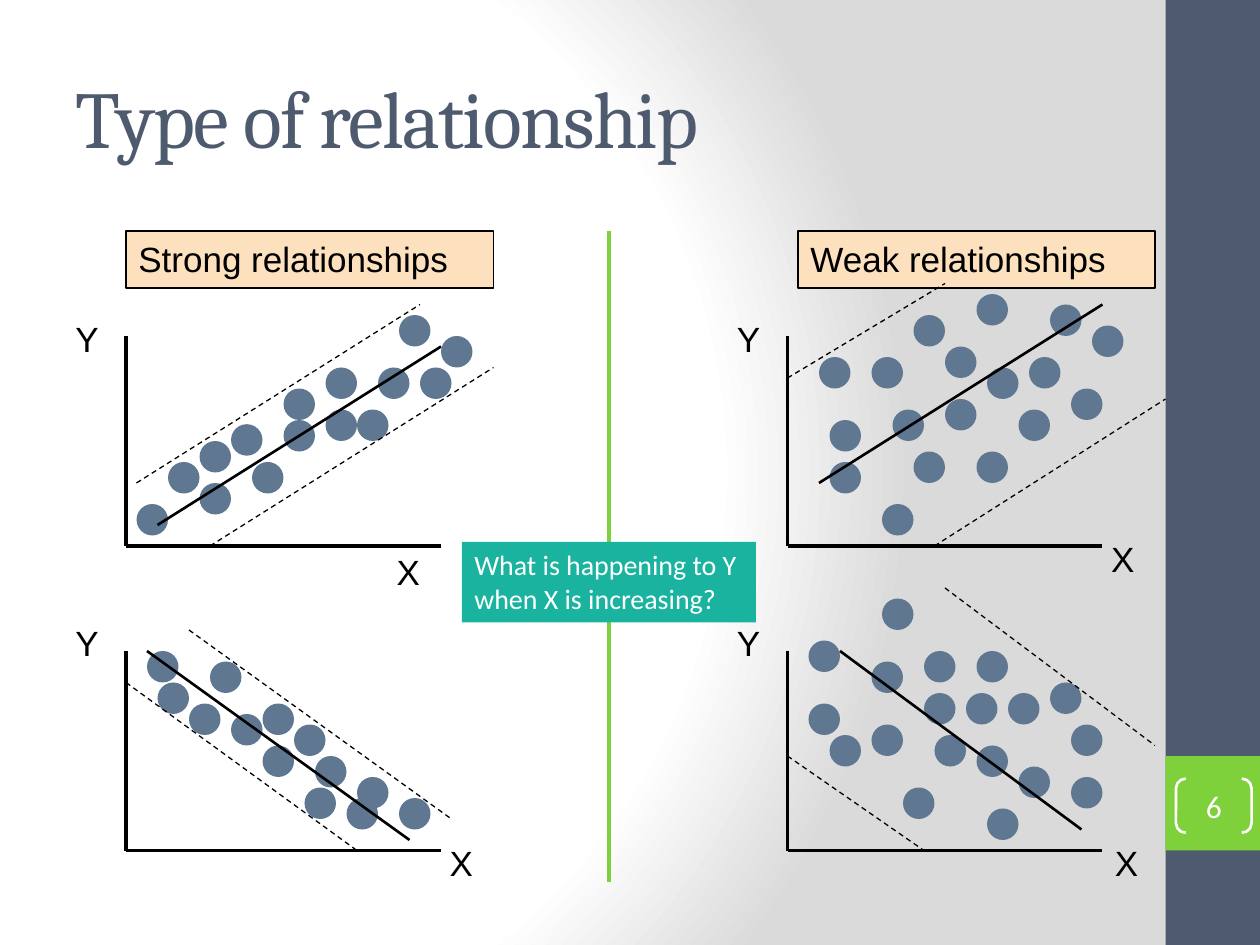
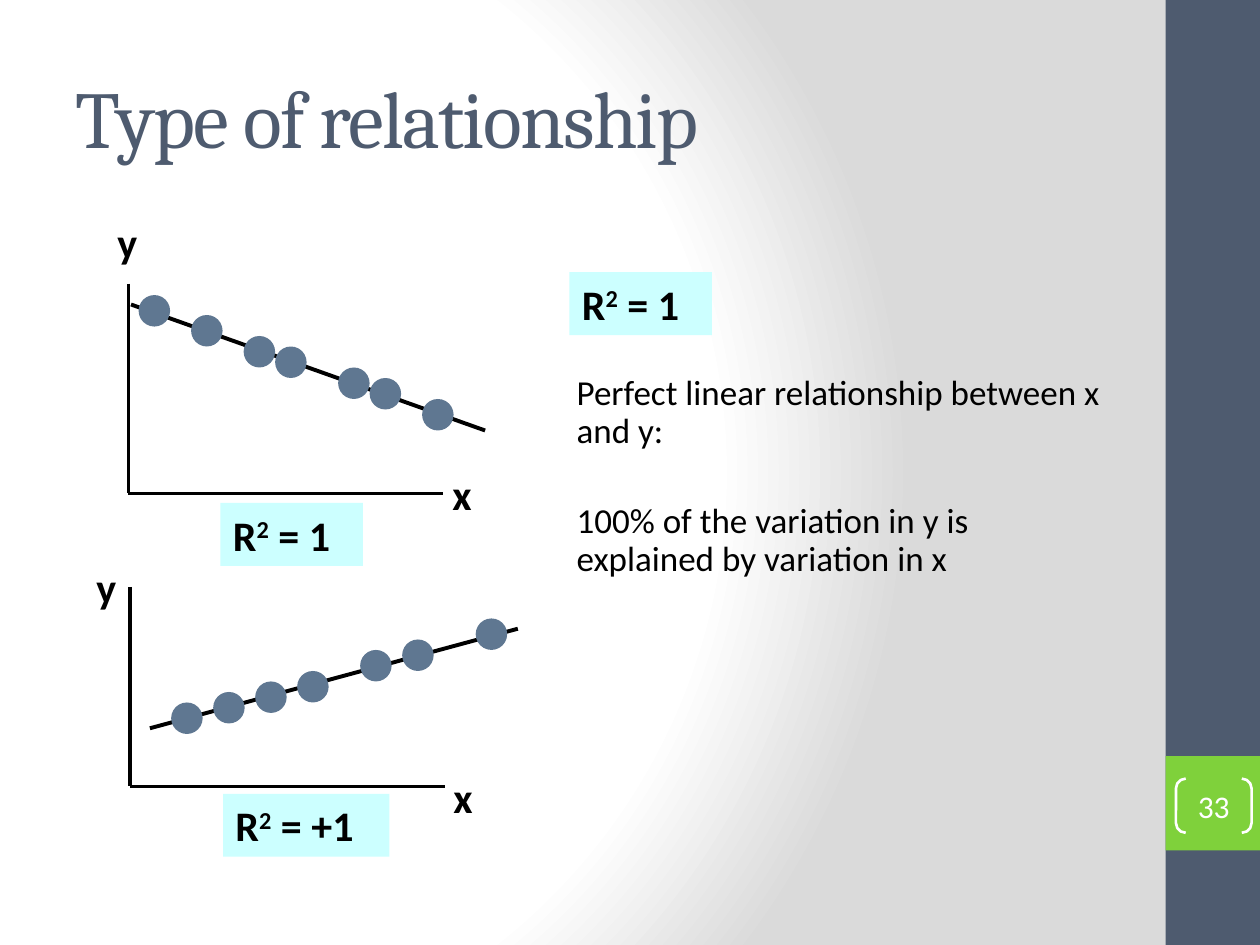
from dataclasses import dataclass
from typing import NamedTuple

from lxml import etree
from pptx import Presentation
from pptx import util as u
from pptx.dml.color import RGBColor
from pptx.enum import dml, shapes, text
from pptx.oxml import parse_xml
from pptx.oxml.ns import nsdecls, qn

INK = {
    "black": "000000",
    "white": "FFFFFF",
    "gray": "DADADA",
    "slate": "4E5B6F",
    "green": "7FD13B",
    "dot": "5F7791",
    "peach": "FDE0BD",
    "teal": "1AB39F",
    "cyan": "CCFFFF",
}
DOT = 3
AXIS = 30


class Font(NamedTuple):
    name: str
    size: float
    ink: str = "black"
    bold: bool = False


class Box(NamedTuple):
    left: float
    top: float
    width: float
    height: float


class Line(NamedTuple):
    x1: float
    y1: float
    x2: float
    y2: float


Spot = tuple[float, float]


@dataclass
class Plot:
    left: float
    top: float
    base: float
    ylab: Spot
    xlab: Spot
    trend: Line
    dots: list[Spot]
    bands: tuple[Line, ...] = ()


HEAD = Font("Cambria", 46, "slate")
PAGE = Font("Calibri", 18, "white")
PLAIN = Font("Arial", 20)
BOLD = Font("Calibri", 24, bold=True)
BODY = Font("Calibri", 20)
ASK = Font("Calibri", 16, "white")


# Drawing helpers: every position counts steps of a twelfth of an inch
def step(n: float) -> u.Length:
    return u.Cm(n * 2.54 / 12)


def rgb(ink: str) -> RGBColor:
    return RGBColor.from_string(INK[ink])


def style(par, font: Font) -> None:
    par.font.name = font.name
    par.font.size = u.Pt(font.size)
    par.font.bold = font.bold
    par.font.color.rgb = rgb(font.ink)


def add_text(slide, box: Box, words: str, font: Font, fill: str = "", edge: str = ""):
    shape = slide.shapes.add_textbox(*map(step, box))
    shape.text_frame.word_wrap = True
    par = shape.text_frame.paragraphs[0]
    style(par, font)
    if words:
        par.add_run().text = words
    if fill:
        shape.fill.solid()
        shape.fill.fore_color.rgb = rgb(fill)
    if edge:
        shape.line.color.rgb = rgb(edge)
        shape.line.width = u.Pt(1)
    return shape


def add_form(slide, kind, box: Box, fill: str = ""):
    shape = slide.shapes.add_shape(kind, *map(step, box))
    shape.shadow.inherit = False
    if fill:
        shape.fill.solid()
        shape.fill.fore_color.rgb = rgb(fill)
    else:
        shape.fill.background()
    shape.line.fill.background()
    return shape


def add_line(slide, line: Line, width: float, ink: str = "black", dash: bool = False) -> None:
    link = slide.shapes.add_connector(shapes.MSO_CONNECTOR.STRAIGHT, *map(step, line))
    link.line.color.rgb = rgb(ink)
    link.line.width = u.Pt(width)
    if dash:
        link.line.dash_style = dml.MSO_LINE.DASH
    etree.SubElement(link._element.spPr, qn("a:effectLst"))


# Shared frame: background, side band, title and page number
def paint(slide) -> None:
    fill = slide.background.fill
    fill.solid()
    old = slide._element.cSld.find(".//" + qn("a:solidFill"))
    stops = "".join(
        f'<a:gs pos="{pos}"><a:srgbClr val="{INK[ink]}"/></a:gs>'
        for pos, ink in ((0, "white"), (75000, "white"), (100000, "gray"))
    )
    grad = parse_xml(
        f'<a:gradFill {nsdecls("a")} rotWithShape="1"><a:gsLst>{stops}</a:gsLst>'
        '<a:path path="circle"><a:fillToRect l="20000" t="50000" r="100000" b="50000"/>'
        "</a:path></a:gradFill>"
    )
    old.getparent().replace(old, grad)


def new_slide(deck, title: str, page: str):
    slide = deck.slides.add_slide(deck.slide_layouts[6])
    paint(slide)
    rect = shapes.MSO_SHAPE.RECTANGLE
    add_form(slide, rect, Box(111, 0, 9, 90), "slate")
    add_form(slide, rect, Box(111, 72, 9, 9), "green")

    head = add_text(slide, Box(6, 3.6, 100, 15), title, HEAD).text_frame
    head.vertical_anchor = text.MSO_ANCHOR.MIDDLE
    head.paragraphs[0].runs[0]._r.get_or_add_rPr().set("spc", "-100")

    mark = add_form(slide, shapes.MSO_SHAPE.DOUBLE_BRACKET, Box(112, 74.16, 7.2, 5.16))
    mark.adjustments[0] = 0.18
    mark.line.color.rgb = rgb("white")
    mark.line.width = u.Pt(1.5)
    frame = mark.text_frame
    frame.margin_left = frame.margin_right = frame.margin_top = frame.margin_bottom = 0
    frame.vertical_anchor = text.MSO_ANCHOR.MIDDLE
    par = frame.paragraphs[0]
    par.add_run().text = page
    par.alignment = text.PP_ALIGN.CENTER
    style(par, PAGE)
    return slide


# Scatter sketch: axes, labels, dots, trend and dashed limits
def add_plot(slide, plot: Plot, names: str, font: Font, width: float, under: bool = False) -> None:
    add_line(slide, Line(plot.left, plot.top, plot.left, plot.base), 2)
    add_line(slide, Line(plot.left, plot.base, plot.left + AXIS, plot.base), 2)
    for name, spot in zip(names, (plot.xlab, plot.ylab)):
        add_text(slide, Box(*spot, 4.68, font.size / 4), name, font)
    if under:
        add_line(slide, plot.trend, width)
    for spot in plot.dots:
        add_form(slide, shapes.MSO_SHAPE.OVAL, Box(*spot, DOT, DOT), "dot")
    for band in plot.bands:
        add_line(slide, band, 0.75, dash=True)
    if not under:
        add_line(slide, plot.trend, width)


def add_score(slide, box: Box, value: str) -> None:
    par = add_text(slide, box, "", BOLD, "cyan").text_frame.paragraphs[0]
    for words in ("R", "2", f" = {value}"):
        run = par.add_run()
        run.text = words
        if words == "2":
            run._r.get_or_add_rPr().set("baseline", "30000")


# Data of the sketches
SPREAD = [
    Plot(12, 32, 52, (6, 29.64), (36.6, 51.84), Line(15, 50, 42, 33),
         [(13, 48), (16, 44), (38, 30), (40, 35), (19, 46), (42, 32), (31, 39), (31, 35),
          (36, 35), (27, 37), (19, 42), (22, 40.4), (34, 39), (27, 40), (24, 44)],
         (Line(13, 46, 40, 29), Line(20, 52, 47, 35))),
    Plot(12, 62, 81, (6, 58.56), (41.64, 79.56), Line(14, 62, 39, 80),
         [(33, 76), (15, 65), (38, 76), (20, 63), (30, 72), (34, 74), (25, 67),
          (14, 62), (18, 67), (22, 68), (29, 75), (28, 69), (25, 71)],
         (Line(18, 60, 43, 78), Line(12, 65, 34, 81))),
    Plot(75, 32, 52, (69, 29.64), (104.64, 50.64), Line(78, 46, 105, 29),
         [(90, 33), (79, 44), (93, 43), (98, 34), (83, 34), (84, 48), (87, 43), (94, 35),
          (87, 30), (79, 40), (78, 34), (85, 39), (97, 39), (90, 38), (93, 28), (104, 31),
          (102, 37), (100, 29)],
         (Line(75, 36, 90, 27), Line(89, 52, 111, 38))),
    Plot(75, 62, 81, (69, 58.56), (105, 79.56), Line(80, 62, 103, 79),
         [(77, 67), (77, 61), (83, 69), (94, 77), (79, 70), (88, 62), (93, 71), (92, 66),
          (88, 66), (83, 63), (96, 66), (89, 70), (86, 75), (97, 73), (102, 69), (100, 65),
          (102, 74), (93, 62), (84, 57)],
         (Line(90, 56, 110, 71), Line(75, 72, 88, 81))),
]
EXACT = [
    Plot(12.24, 27, 47, (10, 20), (41.9, 44), Line(46.2, 41, 12.48, 29),
         [(13.2, 28.1), (18.2, 30), (23.2, 32), (26.2, 33), (32.2, 35), (35.2, 36), (40.2, 38)]),
    Plot(12.36, 55.9, 74.9, (8, 52.9), (42, 72.9), Line(14.28, 69.36, 49.32, 59.88),
         [(16.3, 66.9), (20.3, 65.9), (24.3, 64.9), (28.3, 63.9), (34.3, 61.9),
          (38.3, 60.9), (45.3, 58.9)]),
]


def strength(deck) -> None:
    slide = new_slide(deck, "Type of relationship", "6")
    add_text(slide, Box(12, 22, 35, 5.4), "Strong relationships", PLAIN, "peach", "black")
    add_text(slide, Box(76, 22, 34, 5.4), "Weak relationships", PLAIN, "peach", "black")
    add_line(slide, Line(58, 22, 58, 84), 2.25, "green")
    for plot in SPREAD:
        add_plot(slide, plot, "XY", PLAIN, 1.5)
    add_text(slide, Box(44, 51.6, 28, 7.68),
             "What is happening to Y when X is increasing?", ASK, "teal")


def perfect(deck) -> None:
    slide = new_slide(deck, "Type of relationship", "33")
    for plot in EXACT:
        add_plot(slide, plot, "xy", BOLD, 2.25, under=True)
    add_score(slide, Box(21, 47.9, 13.56, 6), "1")
    add_score(slide, Box(21.24, 75.6, 15.84, 6), "+1")
    add_score(slide, Box(54.24, 25.92, 13.56, 6), "1")

    # Explanation beside the sketches
    frame = add_text(slide, Box(52.32, 35.16, 54.96, 21),
                     "Perfect linear relationship between x and y:", BODY).text_frame
    more = frame.add_paragraph()
    more.add_run().text = "100% of the variation in y is explained by variation in x"
    style(more, BODY)
    for par, gap in zip(frame.paragraphs, (4, 30)):
        par.line_spacing = 0.9
        par.space_before = u.Pt(gap)
        par._p.get_or_add_pPr().set("marL", str(u.Cm(0.3)))


def main() -> None:
    deck = Presentation()
    deck.slide_width, deck.slide_height = u.Cm(25.4), u.Cm(19.05)
    strength(deck)
    perfect(deck)
    deck.save("out.pptx")


if __name__ == "__main__":
    main()
